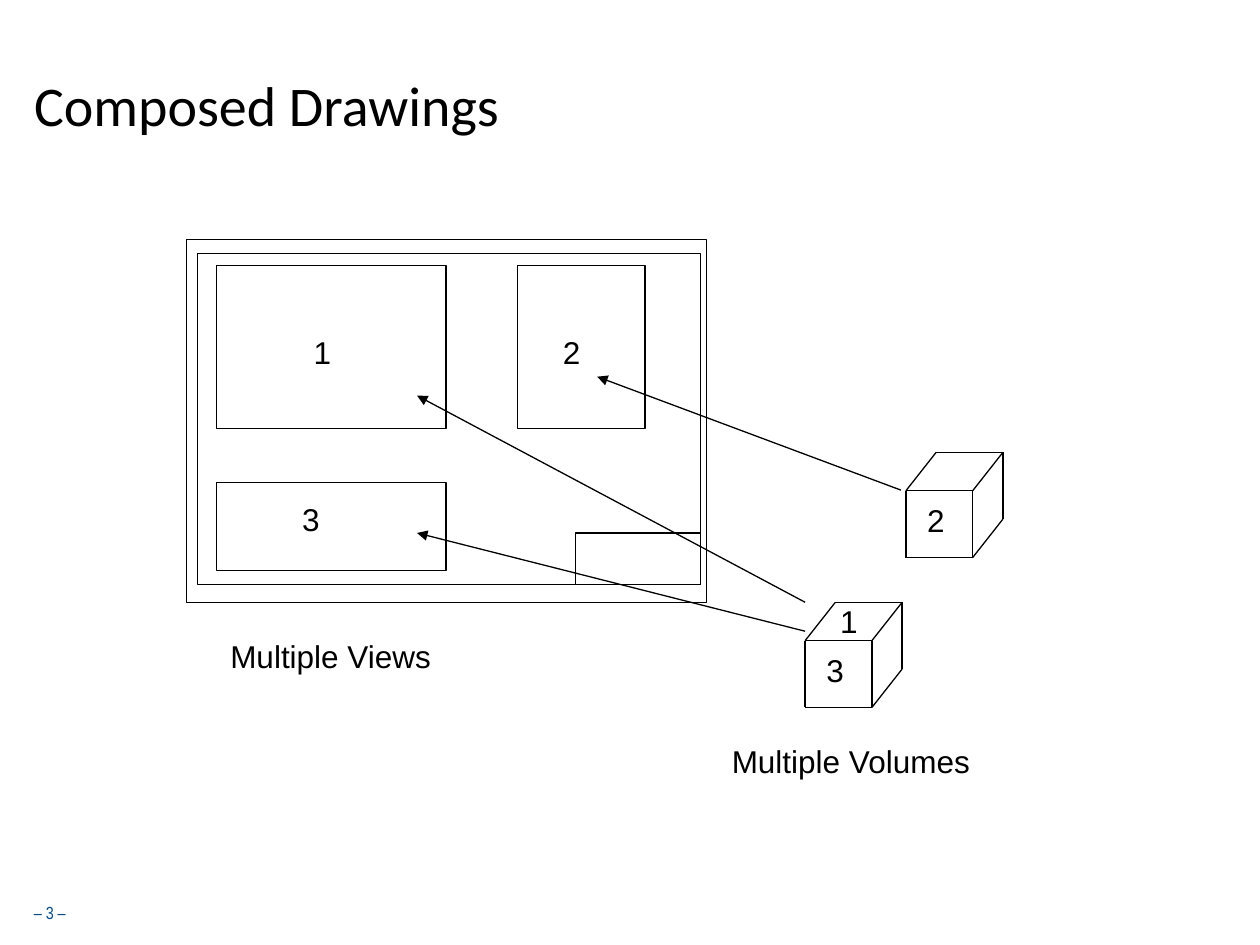
from dataclasses import dataclass

import pptx
import pptx.dml.color
import pptx.enum.shapes
import pptx.enum.text
import pptx.oxml.ns
import pptx.util
from lxml import etree

BLACK = pptx.dml.color.RGBColor(0x00, 0x00, 0x00)
NAVY = pptx.dml.color.RGBColor(0x08, 0x4B, 0x88)
LINE_WIDTH = pptx.util.Pt(0.75)
LABEL_HEIGHT = 4
DIGIT_WIDTH = 3.4


def cells(count: float) -> int:
    """Length of a number of grid cells; the slide has 100 columns and 75 rows."""
    return pptx.util.Inches(count / 10)


@dataclass
class Frame:
    column: float
    row: float
    width: float
    height: float


@dataclass
class Label:
    text: str
    column: float
    row: float
    width: float = DIGIT_WIDTH


@dataclass
class Arrow:
    start: tuple[float, float]
    end: tuple[float, float]


@dataclass
class Cube:
    column: float
    row: float
    side: float = 5.3
    depth: float = 2.4
    rise: float = 3.05


FRAMES = [
    Frame(14.8, 19, 41.3, 28.8),  # sheet
    Frame(15.7, 20.1, 39.9, 26.3),  # border
    Frame(45.7, 42.3, 9.9, 4.1),  # title block
    Frame(17.2, 21.1, 18.2, 12.9),  # view 1
    Frame(41.1, 21.1, 10.1, 12.9),  # view 2
    Frame(17.2, 38.3, 18.2, 7),  # view 3
]
CUBES = [Cube(63.9, 47.8), Cube(71.9, 35.9)]
LABELS = [
    Label("1", 23.9, 25.9),
    Label("2", 43.7, 25.9),
    Label("3", 23, 39.2),
    Label("1", 65.7, 47.3),
    Label("3", 64.6, 51.2),
    Label("2", 72.6, 39.3),
    Label("Multiple Views", 17.3, 50.1, 18),
    Label("Multiple Volumes", 57.1, 58.4, 21),
]
ARROWS = [
    Arrow((63.9, 47.8), (33.1, 31.4)),
    Arrow((71.5, 38.9), (47.4, 29.9)),
    Arrow((63.9, 50.1), (33.1, 42.3)),
]


def format_text(shape, text: str, font_name: str, size: float, color) -> None:
    paragraph = shape.text_frame.paragraphs[0]
    paragraph.text = text
    paragraph.alignment = pptx.enum.text.PP_ALIGN.LEFT
    paragraph.font.name = font_name
    paragraph.font.size = pptx.util.Pt(size)
    paragraph.font.color.rgb = color


def draw_frame(shapes, frame: Frame) -> None:
    shape = shapes.add_shape(
        pptx.enum.shapes.MSO_SHAPE.RECTANGLE,
        cells(frame.column), cells(frame.row), cells(frame.width), cells(frame.height),
    )
    shape.shadow.inherit = False
    shape.fill.background()
    shape.line.color.rgb = BLACK
    shape.line.width = LINE_WIDTH


def draw_line(shapes, start: tuple[float, float], end: tuple[float, float]):
    connector = shapes.add_connector(
        pptx.enum.shapes.MSO_CONNECTOR.STRAIGHT, *map(cells, start + end)
    )
    connector.line.color.rgb = BLACK
    connector.line.width = LINE_WIDTH
    properties = connector._element.spPr
    etree.SubElement(properties, pptx.oxml.ns.qn("a:effectLst"))
    return connector


def draw_arrow(shapes, arrow: Arrow) -> None:
    connector = draw_line(shapes, arrow.start, arrow.end)
    line = connector.line._get_or_add_ln()
    etree.SubElement(line, pptx.oxml.ns.qn("a:tailEnd"), type="triangle")


def draw_cube(shapes, cube: Cube) -> None:
    left, back_left = cube.column, cube.column + cube.depth
    right, back_right = left + cube.side, back_left + cube.side
    back_top, top = cube.row, cube.row + cube.rise
    back_bottom, bottom = back_top + cube.side, top + cube.side
    edges = [
        # Front face
        ((left, top), (left, bottom)),
        ((right, top), (right, bottom)),
        ((left, top), (right, top)),
        ((left, bottom), (right, bottom)),
        # Visible back edges
        ((back_right, back_top), (back_right, back_bottom)),
        ((back_left, back_top), (back_right, back_top)),
        # Receding edges
        ((left, top), (back_left, back_top)),
        ((right, top), (back_right, back_top)),
        ((right, bottom), (back_right, back_bottom)),
    ]
    group = shapes.add_group_shape()
    for start, end in edges:
        draw_line(group.shapes, start, end)


def draw_label(shapes, label: Label) -> None:
    box = shapes.add_textbox(
        cells(label.column), cells(label.row), cells(label.width), cells(LABEL_HEIGHT)
    )
    box.text_frame.word_wrap = False
    box.text_frame.auto_size = pptx.enum.text.MSO_AUTO_SIZE.SHAPE_TO_FIT_TEXT
    format_text(box, label.text, "Arial", 18, BLACK)


def main() -> None:
    presentation = pptx.Presentation()
    presentation.slide_width, presentation.slide_height = cells(100), cells(75)
    slide = presentation.slides.add_slide(presentation.slide_layouts[5])
    shapes = slide.shapes

    # Title
    title = shapes.title
    title.left, title.top = cells(1.7), cells(2)
    title.width, title.height = cells(74.2), cells(12.5)
    title.text_frame.vertical_anchor = pptx.enum.text.MSO_ANCHOR.MIDDLE
    title.text_frame.auto_size = pptx.enum.text.MSO_AUTO_SIZE.NONE
    format_text(title, "Composed Drawings", "Calibri", 32, BLACK)

    # Page number
    page_number = shapes.add_textbox(cells(1.7), cells(71.1), cells(52.5), cells(3.3))
    page_number.text_frame.word_wrap = True
    format_text(page_number, "– 3 –", "Arial Narrow", 10, NAVY)

    # Drawing sheet, volumes, labels and the arrows that link them
    for frame in FRAMES:
        draw_frame(shapes, frame)
    for cube in CUBES:
        draw_cube(shapes, cube)
    for label in LABELS:
        draw_label(shapes, label)
    for arrow in ARROWS:
        draw_arrow(shapes, arrow)

    presentation.save("out.pptx")


if __name__ == "__main__":
    main()
